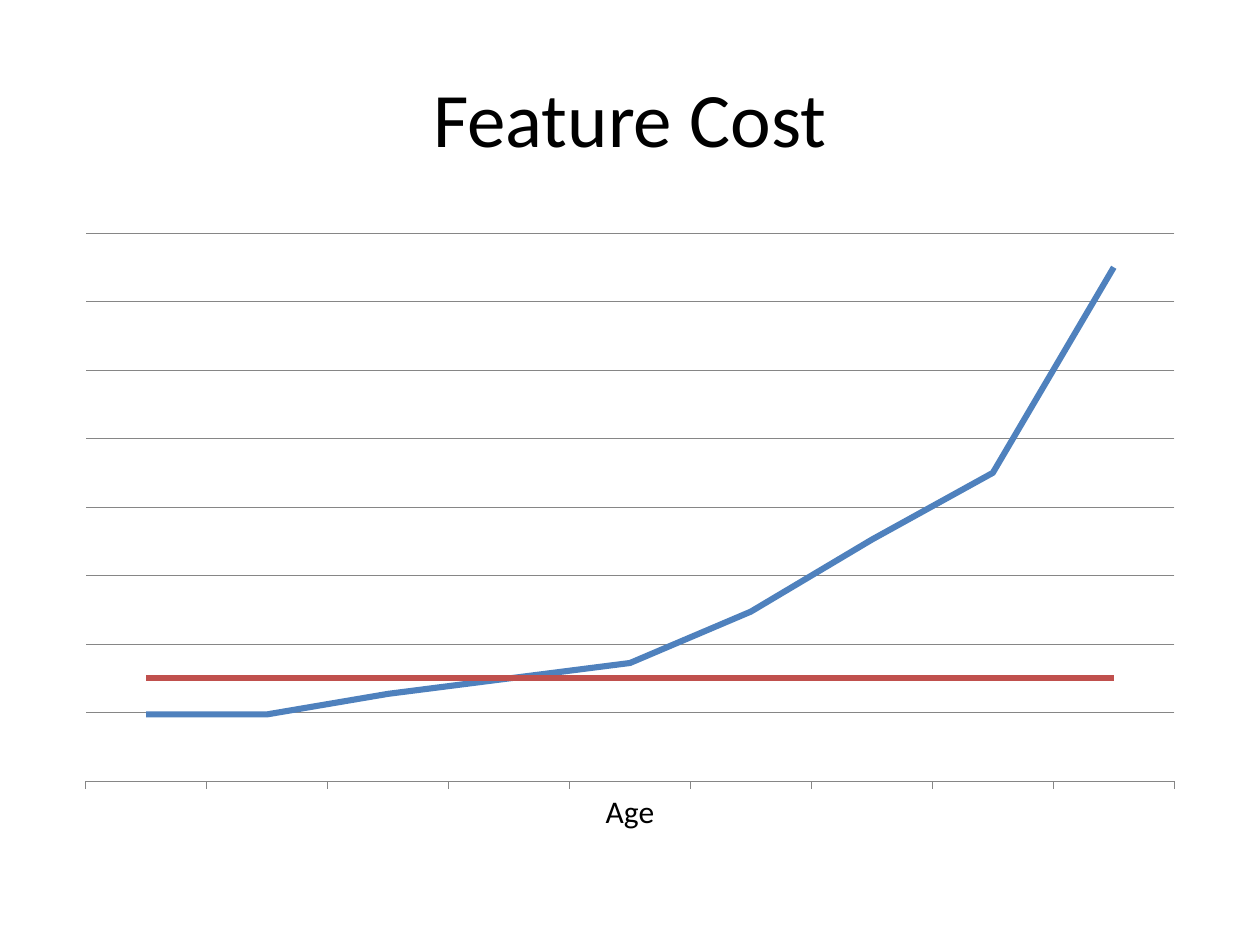
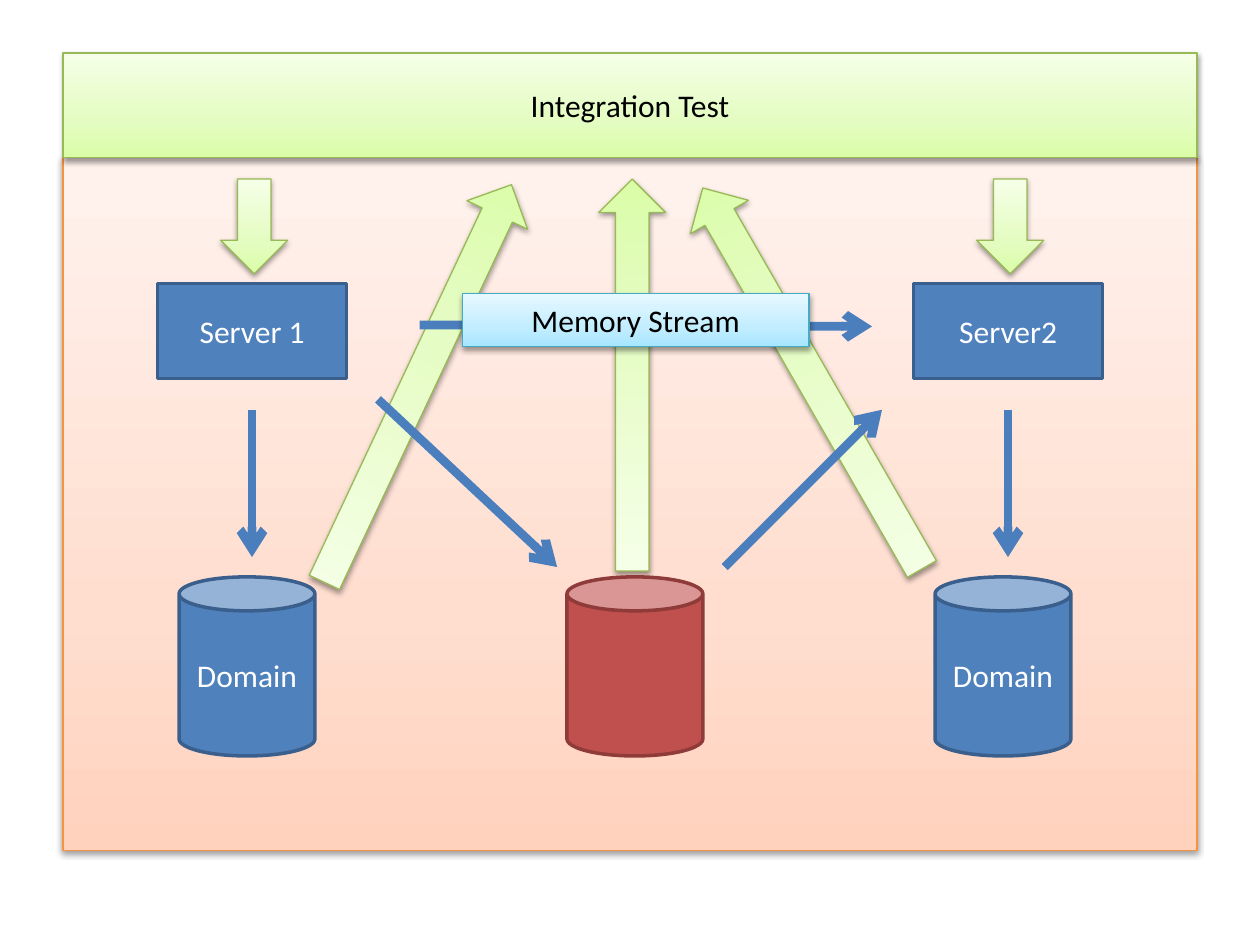
"""Build two slides: a feature cost line chart and an integration test diagram."""
from lxml.etree import SubElement
from pptx import Presentation
from pptx.chart.data import CategoryChartData
from pptx.dml.color import RGBColor
from pptx.enum.chart import XL_CHART_TYPE, XL_TICK_MARK
from pptx.enum.shapes import MSO_CONNECTOR, MSO_SHAPE
from pptx.enum.text import MSO_ANCHOR, PP_ALIGN
from pptx.oxml.ns import qn
from pptx.util import Cm, Pt

FONT = "Calibri"
COLORS = {
    "black": "000000", "white": "FFFFFF", "grid": "868686",
    "blue": "4F81BD", "blue_edge": "3A5F8C", "arrow": "4B7EBC",
    "red": "C0504D", "red_edge": "8E3B39",
    "green_edge": "98B955", "orange_edge": "F69240", "aqua_edge": "46AAC5",
}
GRADIENTS = {
    "green": ("DAFDA7", "E4FCC2", "F5FFE7"),
    "orange": ("FFD2BD", "FFDED0", "FFF2ED"),
    "aqua": ("A7E6FF", "C1EDFF", "E7F8FF"),
}
RGB = {name: RGBColor.from_string(value) for name, value in COLORS.items()}


def set_text(s, text, size, color):
    tf = s.text_frame
    tf.word_wrap = True
    tf.vertical_anchor = MSO_ANCHOR.MIDDLE
    p = tf.paragraphs[0]
    p.text = text
    p.alignment = PP_ALIGN.CENTER
    p.font.name, p.font.size = FONT, Pt(size)
    p.font.color.rgb = RGB[color]


def add_block(kind, x, y, w, h, style, text="", rotation=0):
    s = slide.shapes.add_shape(kind, Cm(x), Cm(y), Cm(w), Cm(h))
    s.rotation = rotation
    s.shadow.inherit = False
    s.line.color.rgb = RGB[style + "_edge"]
    s.line.width = Pt(0.75 if style in GRADIENTS else 2)
    if style in GRADIENTS:
        s.fill.gradient()
        s.fill.gradient_angle = 90
        stops = s._element.spPr.find(".//" + qn("a:gsLst"))
        stops.clear()
        for pos, color in zip((0, 35000, 100000), GRADIENTS[style]):
            gs = SubElement(stops, qn("a:gs"), pos=str(pos))
            SubElement(gs, qn("a:srgbClr"), val=color)
        effects = s._element.spPr.find(qn("a:effectLst"))
        shadow = SubElement(effects, qn("a:outerShdw"), blurRad="40000",
                            dist="20000", dir="5400000", rotWithShape="0")
        color = SubElement(shadow, qn("a:srgbClr"), val=COLORS["black"])
        SubElement(color, qn("a:alpha"), val="38000")
    else:
        s.fill.solid()
        s.fill.fore_color.rgb = RGB[style]
    if text:
        set_text(s, text, 18, "black" if style in GRADIENTS else "white")


prs = Presentation()
prs.slide_width, prs.slide_height = Cm(25.4), Cm(19.05)
blank = prs.slide_layouts[6]

slide = prs.slides.add_slide(blank)
title = slide.shapes.add_textbox(Cm(1.27), Cm(0.76), Cm(22.86), Cm(3.18))
set_text(title, "Feature Cost", 44, "black")

data = CategoryChartData()
data.categories = [""] * 4 + ["Age"] + [""] * 4
data.add_series("Series 1", (13, 13, 17, 20, 23, 33, 47, 60, 100))
data.add_series("Series 2", [20] * 9)
chart = slide.shapes.add_chart(XL_CHART_TYPE.LINE, Cm(1.27), Cm(4.45),
                               Cm(22.86), Cm(12.57), data).chart
chart.has_legend = False
chart.has_title = False
chart.font.name, chart.font.size = FONT, Pt(18)
chart.font.color.rgb = RGB["black"]
chart.plots[0].vary_by_categories = False
for series, color in zip(chart.plots[0].series, ("blue", "red")):
    series.smooth = False
    series.format.line.width = Pt(3.5)
    series.format.line.color.rgb = RGB[color]

ages, costs = chart.category_axis, chart.value_axis
ages.major_tick_mark = XL_TICK_MARK.OUTSIDE
costs.visible = False
costs.has_major_gridlines = True
costs.minimum_scale, costs.maximum_scale, costs.major_unit = 0, 106.64, 13.33
for line in (ages.format.line, costs.major_gridlines.format.line):
    line.color.rgb = RGB["grid"]
    line.width = Pt(0.75)

slide = prs.slides.add_slide(blank)
server_gap = 15.24
add_block(MSO_SHAPE.RECTANGLE, 1.27, 3.18, 22.86, 13.97, "orange")

for x, y, h, rotation in ((12.07, 3.61, 7.9, 180), (15.7, 3.2, 8.86, 150.1),
                          (7.75, 3.3, 8.86, 205.2)):
    add_block(MSO_SHAPE.DOWN_ARROW, x, y, 1.35, h, "green", rotation=rotation)

for x, style, text in ((3.61, "blue", "Domain"), (11.43, "red", ""),
                       (3.61 + server_gap, "blue", "Domain")):
    add_block(MSO_SHAPE.CAN, x, 11.63, 2.74, 3.61, style, text)

for dx, name in ((0, "Server 1"), (server_gap, "Server2")):
    add_block(MSO_SHAPE.RECTANGLE, 3.18 + dx, 5.72, 3.81, 1.91, "blue", name)
    add_block(MSO_SHAPE.DOWN_ARROW, 4.45 + dx, 3.61, 1.35, 1.91, "green")

for x1, y1, x2, y2 in ((8.46, 6.55, 17.58, 6.58),
                       (5.08, 8.26, 5.08, 11.23),
                       (20.32, 8.26, 20.32, 11.23),
                       (14.61, 11.43, 17.78, 8.26),
                       (7.62, 8.05, 11.23, 11.43)):
    s = slide.shapes.add_connector(MSO_CONNECTOR.STRAIGHT,
                                   Cm(x1), Cm(y1), Cm(x2), Cm(y2))
    s.line.color.rgb = RGB["arrow"]
    s.line.width = Pt(5)
    sp = s._element.spPr
    SubElement(sp.find(qn("a:ln")), qn("a:tailEnd"), type="arrow")
    SubElement(sp, qn("a:effectLst"))

add_block(MSO_SHAPE.RECTANGLE, 1.27, 1.07, 22.86, 2.11, "green",
          "Integration Test")
add_block(MSO_SHAPE.RECTANGLE, 9.32, 5.92, 6.99, 1.07, "aqua", "Memory Stream")

prs.save("out.pptx")
